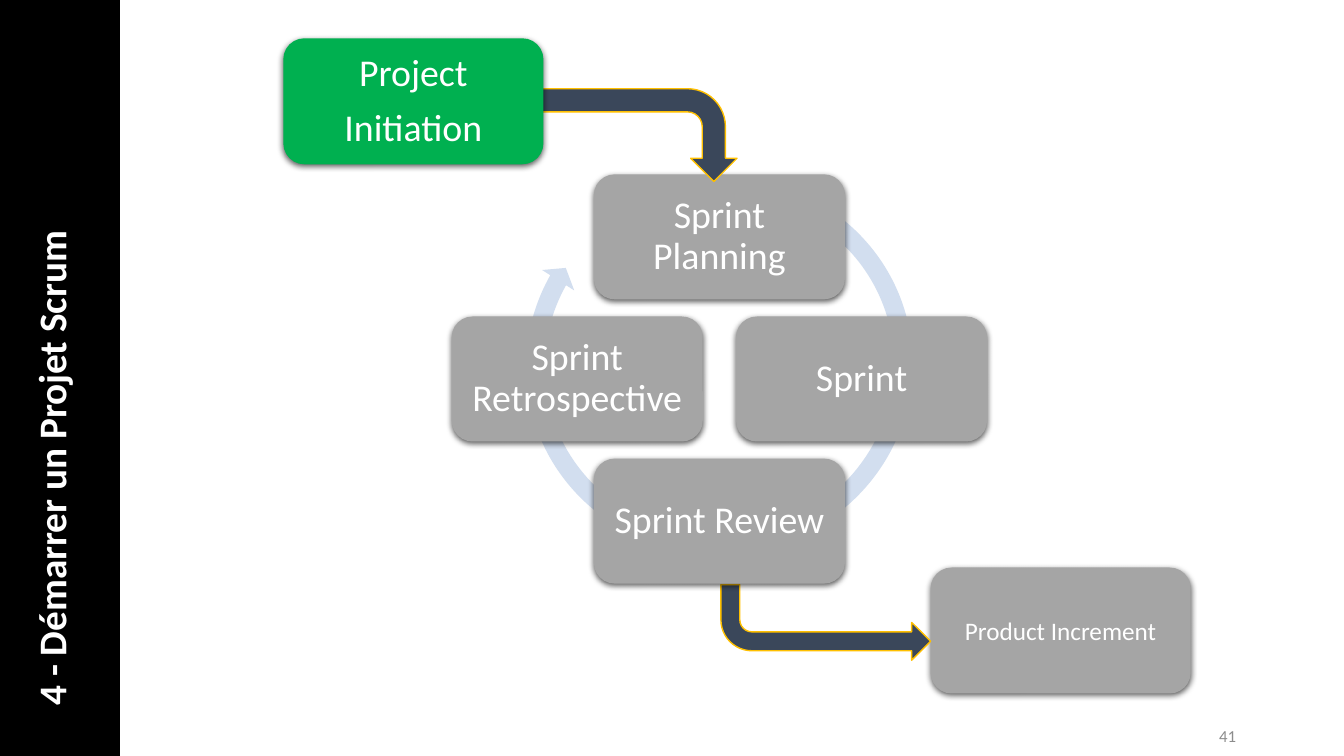
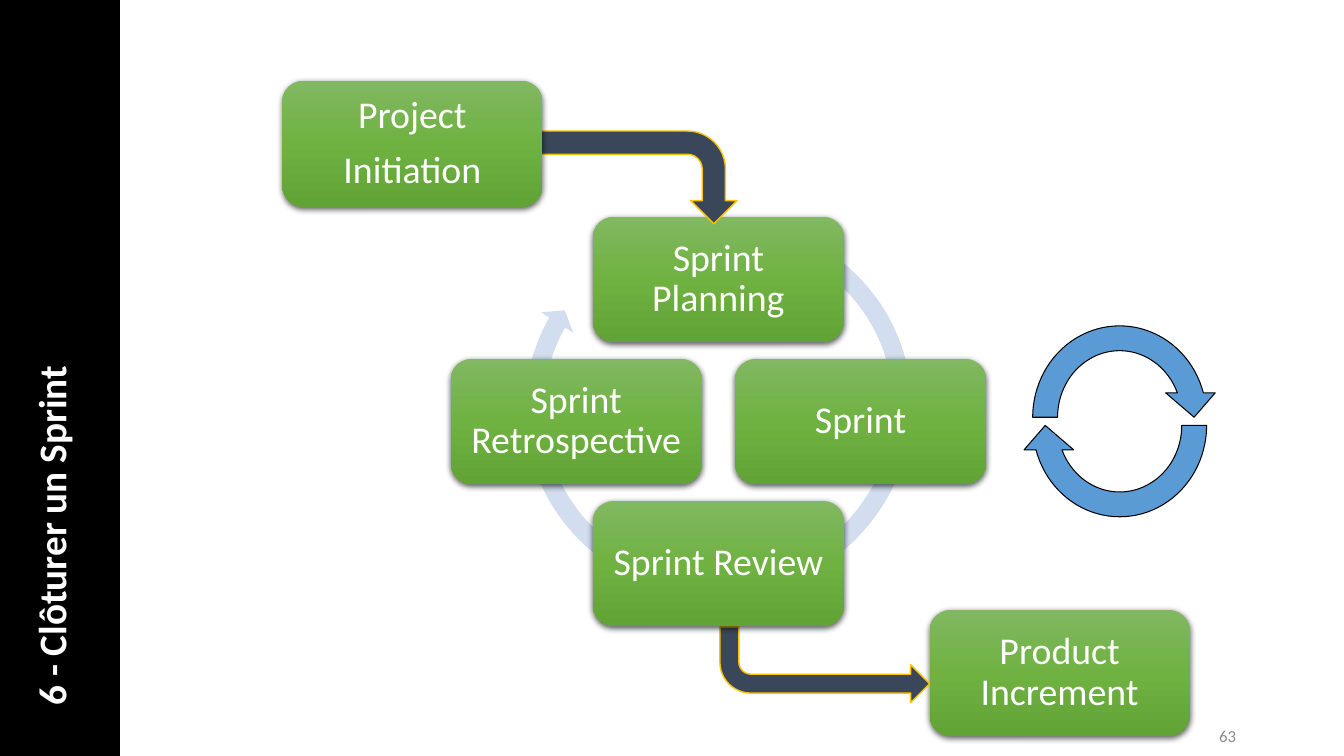
from copy import deepcopy
from dataclasses import dataclass

from pptx import Presentation
from pptx.dml.color import RGBColor
from pptx.enum.shapes import MSO_SHAPE
from pptx.enum.text import MSO_ANCHOR, MSO_AUTO_SIZE, PP_ALIGN
from pptx.oxml import parse_xml
from pptx.oxml.ns import nsdecls, qn
from pptx.util import Pt

PX = 9144


@dataclass(frozen=True)
class Theme:
    font: str = "Calibri"
    band: str = "000000"
    white: str = "FFFFFF"
    number: str = "8C8C8C"
    pending: str = "A5A5A5"
    current: str = "00B050"
    done: tuple = ("81B861", "6FB242", "62A336")
    bent_arrow: str = "3A475A"
    bent_outline: str = "FFC000"
    cycle: str = "D2DEEF"
    loop: str = "5B9BD5"
    loop_outline: str = "000000"
    title_size: int = 28
    card_size: int = 27
    small_size: int = 18
    number_size: int = 12


theme = Theme()
SHADOW = (
    f'<a:outerShdw {nsdecls("a")} blurRad="57150" dist="19050" dir="5400000" algn="ctr" rotWithShape="0">'
    '<a:srgbClr val="000000"><a:alpha val="63000"/></a:srgbClr></a:outerShdw>'
)


def add_block(slide, geometry, frame, fill, outline=None, width=1, rotation=0, adjustments=(), shadow=False):
    shape = slide.shapes.add_shape(geometry, *(value * PX for value in frame))
    shape.shadow.inherit = False
    shape.rotation = rotation
    for index, value in enumerate(adjustments):
        shape.adjustments[index] = value
    properties = shape._element.spPr
    if isinstance(fill, tuple):
        shape.fill.gradient()
        shape.fill.gradient_angle = 270
        stops = properties.find(qn("a:gradFill")).find(qn("a:gsLst"))
        stops.append(deepcopy(stops[0]))
        for index, (stop, color) in enumerate(zip(shape.fill.gradient_stops, fill)):
            stop.position = index / (len(fill) - 1)
            stop.color.rgb = RGBColor.from_string(color)
    else:
        shape.fill.solid()
        shape.fill.fore_color.rgb = RGBColor.from_string(fill)
    if outline:
        shape.line.color.rgb = RGBColor.from_string(outline)
        shape.line.width = Pt(width)
    else:
        shape.line.fill.background()
    if shadow:
        properties.find(qn("a:effectLst")).append(parse_xml(SHADOW))
    return shape


def write_text(shape, lines, size, color, alignment, anchor=MSO_ANCHOR.MIDDLE, bold=False, margin=None):
    text_frame = shape.text_frame
    frame_format = {"word_wrap": True, "auto_size": MSO_AUTO_SIZE.NONE, "vertical_anchor": anchor}
    if margin is not None:
        for side in ("left", "top", "right", "bottom"):
            frame_format[f"margin_{side}"] = margin * PX
    for name, value in frame_format.items():
        setattr(text_frame, name, value)
    text_frame.text = "\n".join(lines)
    for index, paragraph in enumerate(text_frame.paragraphs):
        paragraph.alignment = alignment
        paragraph.line_spacing = 0.9 if size == theme.card_size else 1.0
        paragraph.space_before = Pt(10 if index else 0)
        font_format = {"name": theme.font, "size": Pt(size), "bold": bold}
        for name, value in font_format.items():
            setattr(paragraph.font, name, value)
        paragraph.font.color.rgb = RGBColor.from_string(color)


presentation = Presentation()
presentation.slide_width = 1333 * PX
presentation.slide_height = 750 * PX

CARD_STEP = 141
CARD_MARGIN = 11
CYCLE_CARDS = (
    ("Sprint Planning", 0, -1),
    ("Sprint", 1, 0),
    ("Sprint Review", 0, 1),
    ("Sprint Retrospective", -1, 0),
)
BENT_FORMAT = {
    "fill": theme.bent_arrow,
    "outline": theme.bent_outline,
    "adjustments": (0.25, 0.25, 0.25, 0.41),
}
SLIDES = (
    {
        "title": "4 - Démarrer un Projet Scrum", "number": "41", "shift": (0, 0),
        "initiation": theme.current, "cards": theme.pending,
        "product_size": theme.small_size, "loop": False,
    },
    {
        "title": "6 - Clôturer un Sprint", "number": "63", "shift": (-1, 42),
        "initiation": theme.done, "cards": theme.done,
        "product_size": theme.card_size, "loop": True,
    },
)

for content in SLIDES:
    slide = presentation.slides.add_slide(presentation.slide_layouts[5])
    shift_x, shift_y = content["shift"]

    band = add_block(slide, MSO_SHAPE.RECTANGLE, (0, 0, 119, 750), theme.band)
    slide.shapes._spTree.insert(2, band._element)

    title = slide.shapes.title
    title_frame = {"left": -343, "top": 288, "width": 787, "height": 57}
    for name, value in title_frame.items():
        setattr(title, name, value * PX)
    title.rotation = 270
    write_text(title, [content["title"]], theme.title_size, theme.white, PP_ALIGN.LEFT, MSO_ANCHOR.TOP, bold=True)

    number = slide.shapes.add_textbox(936 * PX, 710 * PX, 300 * PX, 40 * PX)
    write_text(number, [content["number"]], theme.number_size, theme.number, PP_ALIGN.RIGHT)

    product = add_block(
        slide, MSO_SHAPE.ROUNDED_RECTANGLE, (923 + shift_x, 563 + shift_y, 258, 125), content["cards"], shadow=True
    )
    write_text(
        product, ["Product Increment"], content["product_size"], theme.white, PP_ALIGN.CENTER, margin=CARD_MARGIN
    )

    product_arrow = add_block(
        slide, MSO_SHAPE.BENT_ARROW, (715 + shift_x, 580 + shift_y, 208, 75), **BENT_FORMAT
    )
    product_arrow._element.spPr.xfrm.set("flipV", "1")

    add_block(
        slide, MSO_SHAPE.CIRCULAR_ARROW, (512 + shift_x, 166 + shift_y, 403, 393), theme.cycle,
        rotation=350.8, adjustments=(0.047, 2.729, 130.228, 179.017, 0.048),
    )
    for label, column, row in CYCLE_CARDS:
        card_frame = (589 + shift_x + column * CARD_STEP, 314 + shift_y + row * CARD_STEP, 249, 124)
        card = add_block(slide, MSO_SHAPE.ROUNDED_RECTANGLE, card_frame, content["cards"], shadow=True)
        write_text(card, [label], theme.card_size, theme.white, PP_ALIGN.CENTER, margin=CARD_MARGIN)

    add_block(slide, MSO_SHAPE.BENT_ARROW, (585, 34 + shift_y, 92, 200), rotation=90, **BENT_FORMAT)
    initiation = add_block(
        slide, MSO_SHAPE.ROUNDED_RECTANGLE, (281 + shift_x, 38 + shift_y, 258, 125), content["initiation"], shadow=True
    )
    write_text(
        initiation, ["Project", "Initiation"], theme.card_size, theme.white, PP_ALIGN.CENTER, margin=CARD_MARGIN
    )

    if content["loop"]:
        for top, rotation in ((311, 0), (319, 180)):
            add_block(
                slide, MSO_SHAPE.CIRCULAR_ARROW, (1012, top, 197, 206), theme.loop,
                outline=theme.loop_outline, width=0.75, rotation=rotation,
            )

presentation.save("out.pptx")
